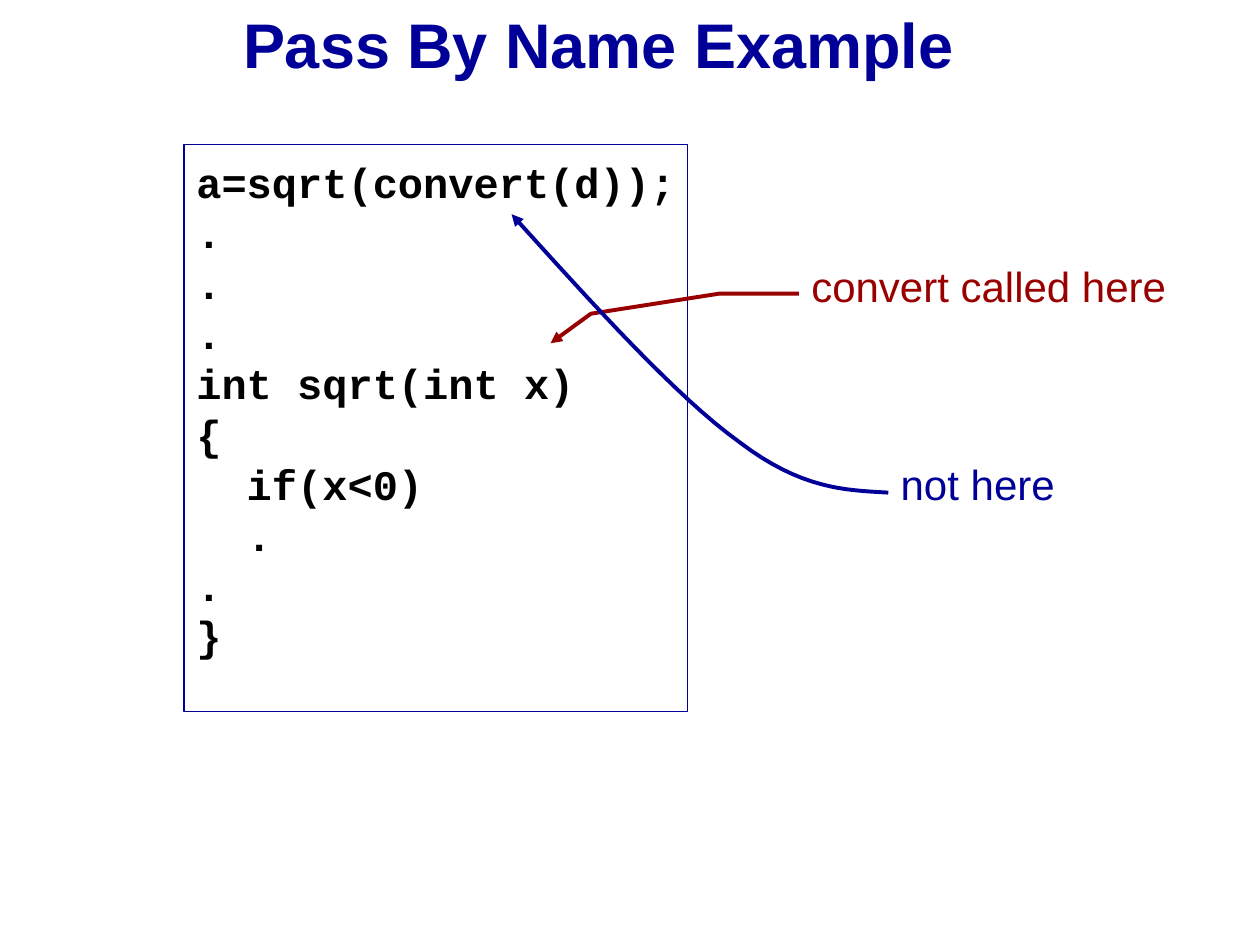
from dataclasses import dataclass

from lxml import etree
from pptx import Presentation
from pptx.dml.color import RGBColor
from pptx.enum.shapes import MSO_SHAPE
from pptx.enum.text import MSO_ANCHOR, PP_ALIGN
from pptx.oxml.ns import qn
from pptx.util import Pt

RECTANGLE = MSO_SHAPE.RECTANGLE
TOP = MSO_ANCHOR.TOP
LEFT = PP_ALIGN.LEFT

NAVY = RGBColor(0x00, 0x00, 0x99)
RED = RGBColor(0x99, 0x00, 0x00)
BLACK = RGBColor(0x00, 0x00, 0x00)

LINE_HEIGHT = 1.2
CURVE_STEPS = 16

Point = tuple[float, float]


@dataclass(frozen=True)
class TextBlock:
    lines: tuple[str, ...]
    left: float
    top: float
    width: float
    height: float
    size: float
    color: RGBColor
    font: str = "Arial"
    bold: bool = False
    inset_top: float = 3.6
    border: RGBColor | None = None


@dataclass(frozen=True)
class Arrow:
    points: tuple[Point, ...]
    color: RGBColor


def bezier(p0: Point, p1: Point, p2: Point, p3: Point) -> tuple[Point, ...]:
    """Return points along a cubic curve, without its start."""
    points = []
    for step in range(1, CURVE_STEPS + 1):
        t = step / CURVE_STEPS
        u = 1 - t
        weights = (u**3, 3 * u * u * t, 3 * u * t * t, t**3)
        x, y = (
            sum(w * c for w, c in zip(weights, axis))
            for axis in zip(p0, p1, p2, p3)
        )
        points.append((x, y))
    return tuple(points)


CODE = TextBlock(
    (
        "a=sqrt(convert(d));",
        ".",
        ".",
        ".",
        "int sqrt(int x)",
        "{",
        "  if(x<0)",
        "  .",
        ".",
        "}",
    ),
    105.1, 82.8, 288, 324, 24, BLACK,
    font="Courier New", bold=True, inset_top=6.5, border=NAVY,
)
LABELS = (
    TextBlock(("convert called here",), 456.5, 145.4, 217, 36, 24, RED),
    TextBlock(("not here",), 507.6, 258.5, 102, 36, 24, NAVY),
)
TITLE = TextBlock(
    ("Pass By Name Example",), 131.8, -1.4, 421, 50.4, 36, NAVY,
    bold=True, inset_top=4.6,
)

CURVE_START = (507.6, 281.5)
CURVE_MIDDLE = (422.6, 252.7)
CURVE_END = (292.3, 122.4)
ARROWS = (
    Arrow(((456.5, 167.8), (411.1, 167.8), (337.7, 179.3), (314.6, 196.2)), RED),
    Arrow(
        (CURVE_START,)
        + bezier(CURVE_START, (482.4, 280.1), (457.9, 279.4), CURVE_MIDDLE)
        + bezier(CURVE_MIDDLE, (386.6, 226.8), (339.1, 174.2), CURVE_END),
        NAVY,
    ),
)


def add_text(shapes, block: TextBlock) -> None:
    frame = (Pt(block.left), Pt(block.top), Pt(block.width), Pt(block.height))
    if block.border is None:
        sp = shapes.add_textbox(*frame)
    else:
        sp = shapes.add_shape(RECTANGLE, *frame)
        sp.shadow.inherit = False
        sp.fill.background()
        sp.line.color.rgb = block.border
        sp.line.width = Pt(0.75)
    tf = sp.text_frame
    tf.word_wrap = True
    tf.vertical_anchor = TOP
    tf.margin_left = Pt(7.2)
    tf.margin_right = tf.margin_bottom = 0
    tf.margin_top = Pt(block.inset_top)
    for i, line in enumerate(block.lines):
        p = tf.add_paragraph() if i else tf.paragraphs[0]
        p.alignment = LEFT
        p.line_spacing = Pt(block.size * LINE_HEIGHT)
        r = p.add_run()
        r.text = line
        r.font.name = block.font
        r.font.size = Pt(block.size)
        r.font.bold = block.bold
        r.font.color.rgb = block.color


def add_arrow(shapes, arrow: Arrow) -> None:
    """Draw an open outline with an arrowhead at its last point."""
    points = [(Pt(x), Pt(y)) for x, y in arrow.points]
    builder = shapes.build_freeform(*points[0])
    builder.add_line_segments(points[1:], close=False)
    sp = builder.convert_to_shape()
    sp.shadow.inherit = False
    sp.fill.background()
    sp.line.color.rgb = arrow.color
    sp.line.width = Pt(2.25)
    ln = sp.line._get_or_add_ln()
    etree.SubElement(ln, qn("a:tailEnd"), type="triangle")


def main() -> None:
    prs = Presentation()
    prs.slide_width, prs.slide_height = Pt(720), Pt(540)
    s = prs.slides.add_slide(prs.slide_layouts[6])
    add_text(s.shapes, CODE)
    for label in LABELS:
        add_text(s.shapes, label)
    for arrow in ARROWS:
        add_arrow(s.shapes, arrow)
    add_text(s.shapes, TITLE)
    prs.save("out.pptx")


if __name__ == "__main__":
    main()
